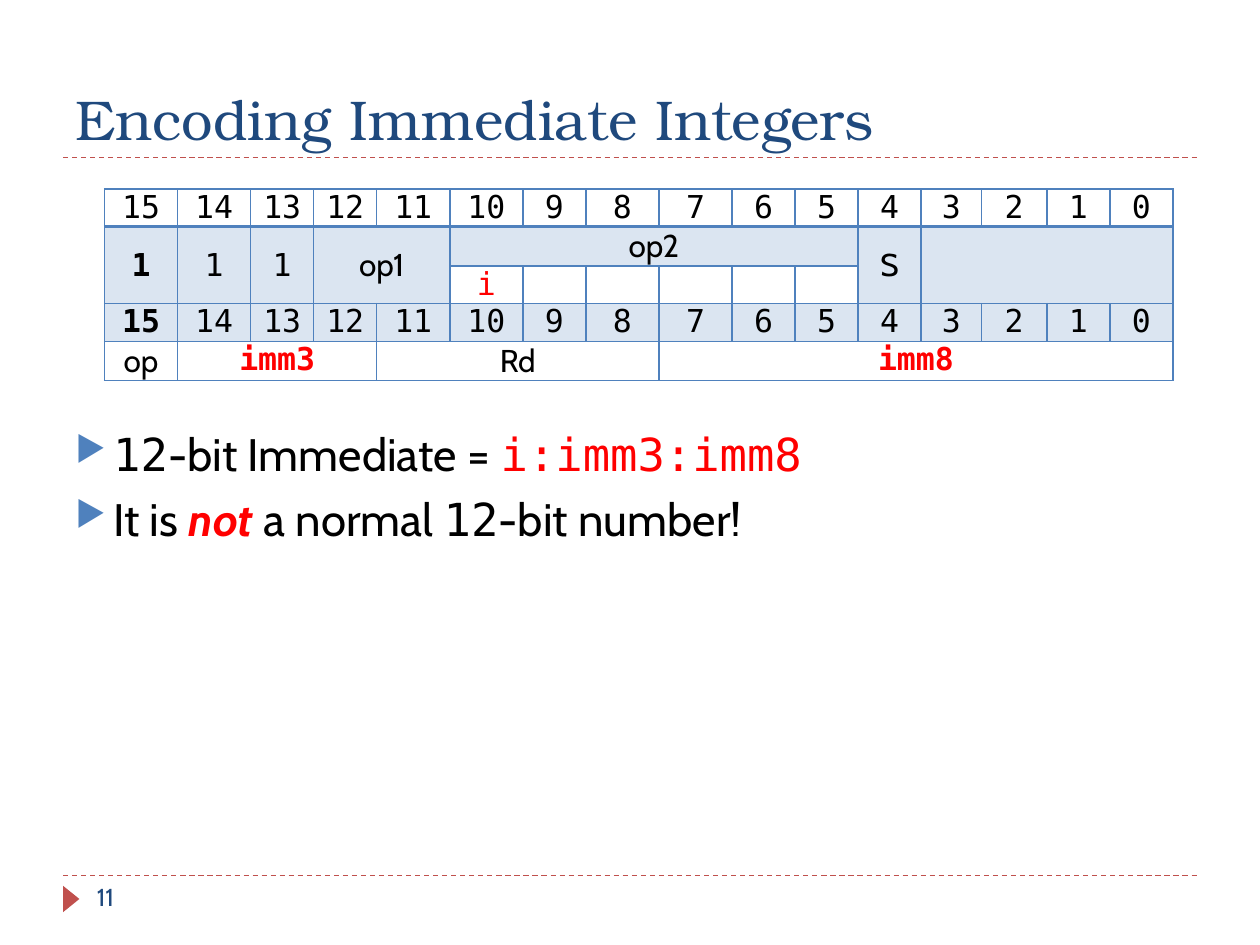
from lxml.etree import SubElement
from pptx import Presentation
from pptx.dml.color import RGBColor
from pptx.enum.dml import MSO_LINE_DASH_STYLE as Dash
from pptx.enum.shapes import MSO_CONNECTOR as Connector, MSO_SHAPE as Shape
from pptx.enum.text import MSO_ANCHOR as Anchor, PP_ALIGN as Align
from pptx.oxml.ns import qn
from pptx.util import Inches, Pt

BLACK = RGBColor(0x00, 0x00, 0x00)
RED = RGBColor(0xFF, 0x00, 0x00)
NAVY = RGBColor(0x1F, 0x49, 0x7D)
BLUE = RGBColor(0x4F, 0x81, 0xBD)
BRICK = RGBColor(0xC0, 0x50, 0x4D)

SANS, MONO, SERIF = "Cabin", "DejaVu Sans Mono", "TeX Gyre Bonum"


class SlideBuilder:
    def __init__(self, slide):
        self.slide = slide

    def run(self, paragraph, text, size, font=SANS, color=BLACK, bold=False, italic=False):
        run = paragraph.add_run()
        run.text = text
        run.font.size = Pt(size)
        run.font.name = font
        run.font.color.rgb = color
        run.font.bold = bold
        run.font.italic = italic

    def text_box(self, left, top, width, height, anchor=Anchor.TOP):
        box = self.slide.shapes.add_textbox(
            Inches(left), Inches(top), Inches(width), Inches(height))
        box.text_frame.word_wrap = True
        box.text_frame.vertical_anchor = anchor
        return box.text_frame

    def rule(self, top):
        line = self.slide.shapes.add_connector(
            Connector.STRAIGHT, Inches(0.5), Inches(top), Inches(9.5), Inches(top))
        line.line.color.rgb = BRICK
        line.line.width = Pt(0.75)
        line.line.dash_style = Dash.DASH
        SubElement(line._element.spPr, qn("a:effectLst"))

    def marker(self, left, top, width, height):
        triangle = self.slide.shapes.add_shape(
            Shape.ISOSCELES_TRIANGLE, Inches(left), Inches(top), Inches(width), Inches(height))
        triangle.rotation = 90
        triangle.shadow.inherit = False
        triangle.fill.solid()
        triangle.fill.fore_color.rgb = BRICK
        triangle.line.fill.background()

    def bullet(self, paragraph):
        properties = paragraph._p.get_or_add_pPr()
        properties.set("marL", str(Inches(0.3)))
        properties.set("indent", str(-Inches(0.3)))
        color = SubElement(properties, qn("a:buClr"))
        SubElement(color, qn("a:srgbClr"), val=str(BLUE))
        SubElement(properties, qn("a:buSzPct"), val="76000")
        SubElement(properties, qn("a:buChar"), char="▶")

    def bullets(self, frame, items, size):
        for index, runs in enumerate(items):
            paragraph = frame.add_paragraph() if index else frame.paragraphs[0]
            self.bullet(paragraph)
            if index:
                paragraph.space_before = Pt(6)
            for text, style in runs:
                self.run(paragraph, text, size, **style)

    def table(self, left, top, widths, heights):
        frame = self.slide.shapes.add_table(
            len(heights), len(widths), Inches(left), Inches(top),
            Inches(sum(widths)), Inches(sum(heights)))
        table = frame.table
        table.first_row = table.horz_banding = False
        for column, width in zip(table.columns, widths):
            column.width = Inches(width)
        for row, height in zip(table.rows, heights):
            row.height = Inches(height)
        return table

    def cell(self, cell, shaded, bottom_width=1):
        cell.margin_left = cell.margin_right = Inches(0.07)
        cell.margin_top = cell.margin_bottom = 0
        properties = cell._tc.get_or_add_tcPr()
        for edge, width in (("L", 1), ("R", 1), ("T", 1), ("B", bottom_width)):
            border = SubElement(properties, qn(f"a:ln{edge}"), w=str(Pt(width)))
            fill = SubElement(border, qn("a:solidFill"))
            SubElement(fill, qn("a:srgbClr"), val=str(BLUE))
        if shaded:
            cell.fill.solid()
            cell.fill.fore_color.rgb = BLUE
            color = properties.find(qn("a:solidFill")).find(qn("a:srgbClr"))
            SubElement(color, qn("a:alpha"), val="20000")
        else:
            cell.fill.background()

    def field(self, table, row, column, text, rows=1, columns=1, middle=False, **style):
        cell = table.cell(row, column)
        if rows > 1 or columns > 1:
            cell.merge(table.cell(row + rows - 1, column + columns - 1))
        if middle:
            cell.vertical_anchor = Anchor.MIDDLE
        if text:
            paragraph = cell.text_frame.paragraphs[0]
            paragraph.alignment = Align.CENTER
            self.run(paragraph, text, 18, **style)


def main():
    presentation = Presentation()
    presentation.slide_width, presentation.slide_height = Inches(10), Inches(7.5)
    slide = presentation.slides.add_slide(presentation.slide_layouts[6])
    builder = SlideBuilder(slide)

    # Rules and page marker
    builder.rule(6.95)
    builder.rule(1.25)
    builder.marker(0.46, 7.07, 0.21, 0.13)

    # Title and page number
    title = builder.text_box(0.5, 0.17, 9, 1.08, Anchor.BOTTOM)
    builder.run(title.paragraphs[0], "Encoding Immediate Integers", 32, SERIF, NAVY)
    number = builder.text_box(0.67, 6.95, 2.17, 0.4)
    builder.run(number.paragraphs[0], "11", 14, SANS, NAVY)

    # Key points
    mono = {"font": MONO}
    red_mono = {"font": MONO, "color": RED}
    points = [
        [("12", mono), ("-bit Immediate = ", {}), ("i:imm3:imm8", red_mono)],
        [("It is ", {}), ("not", {"color": RED, "bold": True, "italic": True}),
         (" a normal ", {}), ("12", mono), ("-bit number!", {})],
    ]
    builder.bullets(builder.text_box(0.5, 3.33, 9, 3.4), points, 26)

    # Instruction encoding grid
    widths = [0.58, 0.58, 0.5, 0.5, 0.58, 0.58, 0.5, 0.58,
              0.58, 0.5, 0.5, 0.5, 0.48, 0.52, 0.5, 0.5]
    heights = [0.29, 0.31, 0.3, 0.29, 0.31]
    table = builder.table(0.83, 1.5, widths, heights)
    for row in range(len(heights)):
        for column in range(len(widths)):
            shaded = row in (1, 3) or (row == 2 and not 5 <= column <= 10)
            builder.cell(table.cell(row, column), shaded, 2 if row == 0 else 1)

    # Bit numbers above each halfword
    for row in (0, 3):
        for column in range(16):
            builder.field(table, row, column, str(15 - column),
                          font=MONO, bold=row == 3 and column == 0)

    # First halfword
    for column in range(3):
        builder.field(table, 1, column, "1", rows=2, middle=True,
                      font=MONO, bold=column == 0)
    for column, text, rows, columns in (
            (3, "op1", 2, 2), (5, "op2", 1, 6), (11, "S", 2, 1), (12, "", 2, 4)):
        builder.field(table, 1, column, text, rows, columns, middle=True)
    builder.field(table, 2, 5, "i", **red_mono)

    # Second halfword
    immediate = {**red_mono, "bold": True}
    for column, text, columns, style in (
            (0, "op", 1, {}), (1, "imm3", 3, immediate),
            (4, "Rd", 4, {}), (8, "imm8", 8, immediate)):
        builder.field(table, 4, column, text, columns=columns, **style)

    presentation.save("out.pptx")


if __name__ == "__main__":
    main()
